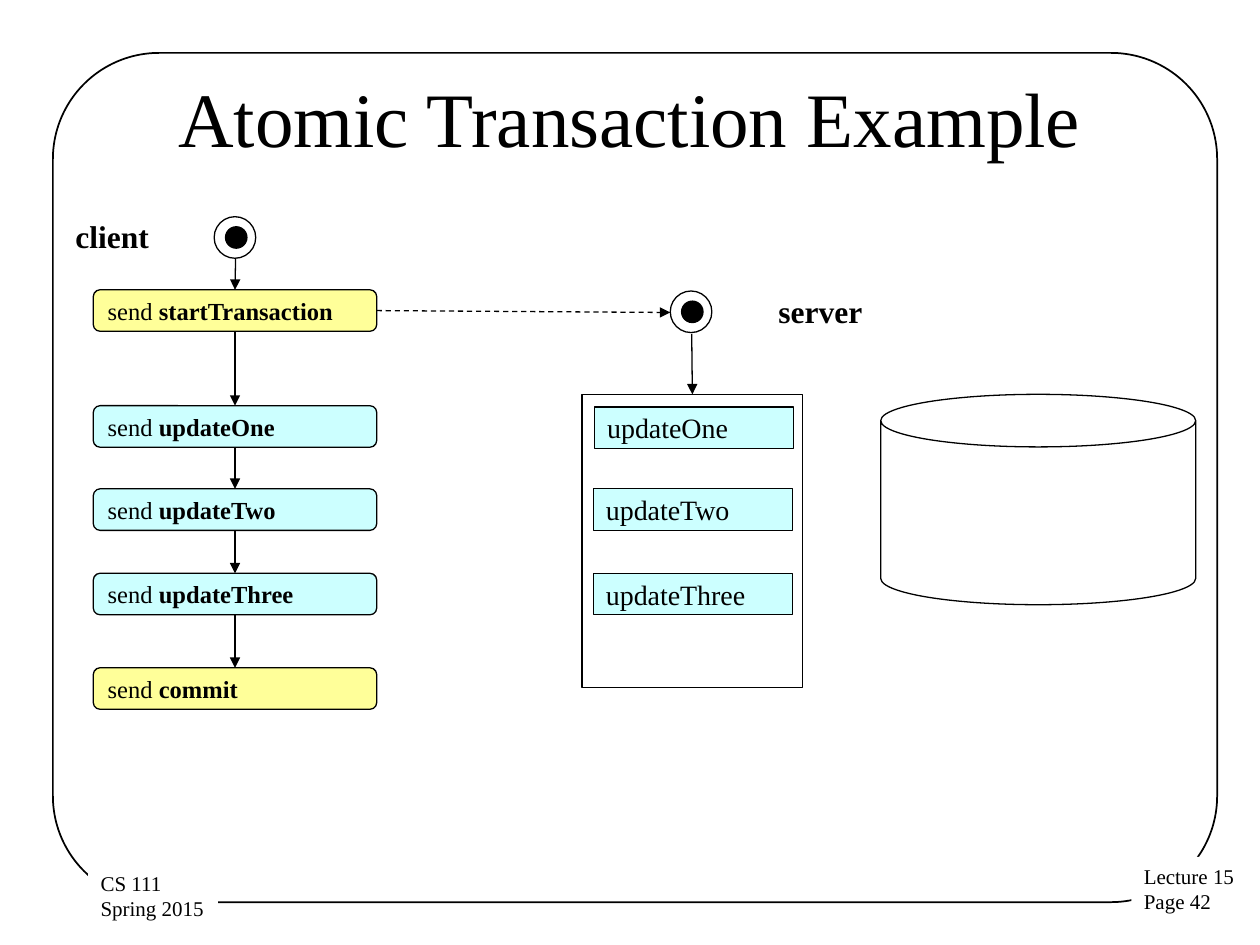
"""Build the Atomic Transaction Example slide."""
from pptx import Presentation, util as u
from pptx.dml.color import RGBColor
from pptx.enum import dml, shapes, text
from pptx.oxml import parse_xml
from pptx.oxml.ns import nsdecls

HUES = {"ink": "000000", "paper": "FFFFFF", "yellow": "FFFF99", "aqua": "CCFFFF"}
INK = RGBColor.from_string(HUES["ink"])
FACE = "Times New Roman"
KIND = shapes.MSO_SHAPE
SIZE = u.Inches(0.33)

deck = Presentation()
deck.slide_width, deck.slide_height = u.Inches(10), u.Inches(7.5)
slide = deck.slides.add_slide(deck.slide_layouts[5])


def put(kind, box, fill=None, edge=0.75, lines=(), size=14, wrap=True):
    """Add a shape; each line is a list of (words, bold) pairs."""
    item = slide.shapes.add_shape(kind, *[u.Inches(v) for v in box])
    item.shadow.inherit = False
    if fill:
        item.fill.solid()
        item.fill.fore_color.rgb = RGBColor.from_string(HUES[fill])
    else:
        item.fill.background()
    if edge:
        item.line.color.rgb = INK
        item.line.width = u.Pt(edge)
    else:
        item.line.fill.background()
    frame = item.text_frame
    frame.word_wrap = wrap
    frame.vertical_anchor = text.MSO_ANCHOR.MIDDLE
    for row, parts in enumerate(lines):
        para = frame.add_paragraph() if row else frame.paragraphs[0]
        para.alignment = text.PP_ALIGN.LEFT
        for words, bold in parts:
            run = para.add_run()
            run.text = words
            look = {"name": FACE, "size": u.Pt(size), "bold": bold}
            for key, value in look.items():
                setattr(run.font, key, value)
            run.font.color.rgb = INK
    return item


def link(start, end, first=None, last=None, dash=False):
    """Draw an arrow; first and last are (shape, side) joins."""
    points = [u.Inches(v) for v in (*start, *end)]
    wire = slide.shapes.add_connector(shapes.MSO_CONNECTOR.STRAIGHT, *points)
    if first:
        wire.begin_connect(*first)
    if last:
        wire.end_connect(*last)
    wire.line.color.rgb = INK
    wire.line.width = u.Pt(0.75)
    if dash:
        wire.line.dash_style = dml.MSO_LINE.DASH
    wire.line._get_or_add_ln().append(
        parse_xml(f'<a:tailEnd {nsdecls("a")} type="triangle"/>'))
    wire._element.spPr.append(parse_xml(f'<a:effectLst {nsdecls("a")}/>'))


rim = put(KIND.ROUNDED_RECTANGLE, (0.42, 0.42, 9.24, 6.74), edge=1)
rim.adjustments[0] = 0.125

for box, rows in [
    ((8.98, 6.8, 0.93, 0.51), ("Lecture 15", "Page 42")),
    ((0.7, 6.85, 1.03, 0.51), ("CS 111", "Spring 2015")),
]:
    put(KIND.RECTANGLE, box, "paper", 0, [[(row, False)] for row in rows], 12, False)

title = slide.shapes.title
place = {"left": 0.5, "top": 0.3, "width": 9, "height": 1.25}
for key, value in place.items():
    setattr(title, key, u.Inches(value))
title.text_frame.text = "Atomic Transaction Example"
title.text_frame.vertical_anchor = text.MSO_ANCHOR.MIDDLE
head = title.text_frame.paragraphs[0]
head.alignment = text.PP_ALIGN.CENTER
for key, value in {"name": FACE, "size": u.Pt(44)}.items():
    setattr(head.runs[0].font, key, value)
head.runs[0].font.color.rgb = INK

for words, box in [("client", (0.5, 1.67, 0.79, 0.4)),
                   ("server", (6.08, 2.27, 0.87, 0.4))]:
    put(KIND.RECTANGLE, box, None, 0, [[(words, True)]], 18, False)

for left, top in [(1.7, 1.72), (5.32, 2.31)]:
    put(KIND.OVAL, (left + 0.09, top + 0.08, 0.17, 0.17), "ink")
    put(KIND.OVAL, (left, top, 0.33, 0.33))

steps = []
for words, top, hue in [
    ("startTransaction", 2.3, "yellow"),
    ("updateOne", 3.22, "aqua"),
    ("updateTwo", 3.88, "aqua"),
    ("updateThree", 4.55, "aqua"),
    ("commit", 5.3, "yellow"),
]:
    step = put(KIND.ROUNDED_RECTANGLE, (0.74, top, 2.25, 0.33), hue,
               lines=[[("send ", False), (words, True)]])
    if steps:
        link((1.87, top), (1.87, top), (steps[-1], 2), (step, 0))
    steps.append(step)

for words, left, top in [("updateOne", 4.72, 3.23), ("updateTwo", 4.71, 3.88),
                         ("updateThree", 4.71, 4.55)]:
    put(KIND.RECTANGLE, (left, top, 1.58, 0.33), "aqua",
        lines=[[(words, False)]], size=16)

server = put(KIND.RECTANGLE, (4.62, 3.13, 1.75, 2.33))
store = put(KIND.CAN, (6.99, 3.13, 2.5, 1.67))
store.adjustments[0] = 0.25

link((1.87, 2.05), (1.87, 2.3), last=(steps[0], 0))
link((5.49, 2.65), (5.5, 3.13), last=(server, 0))
link((2.99, 2.47), (5.32, 2.48), first=(steps[0], 3), dash=True)

deck.save("out.pptx")
